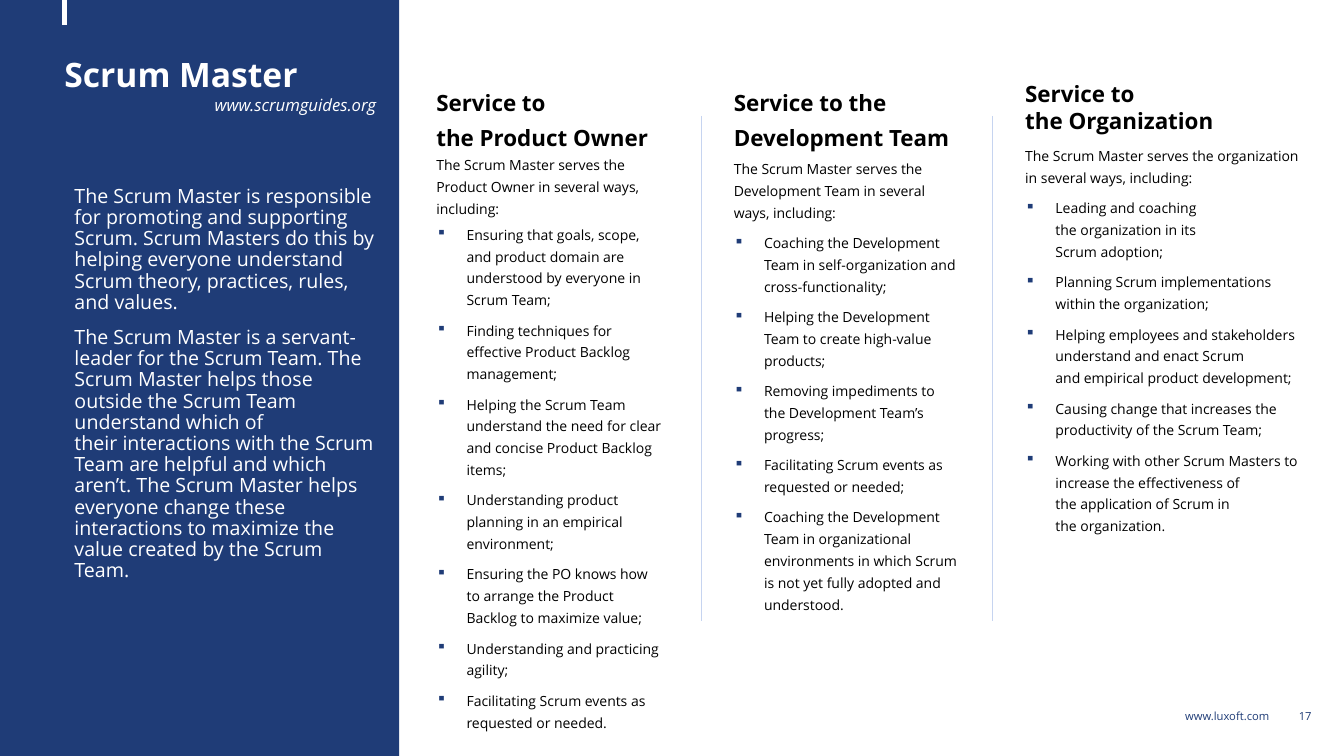
import pptx
import pptx.dml.color
import pptx.enum.shapes
import pptx.enum.text
import pptx.oxml
import pptx.oxml.ns
import pptx.util
from lxml import etree

SLIDE_W, SLIDE_H = 13.33, 7.5
FONT = "Open Sans"
NAVY, WHITE, BLACK, RULE = "1F3C77", "FFFFFF", "000000", "C6D4F0"
ALIGN = pptx.enum.text.PP_ALIGN
Inches, Pt = pptx.util.Inches, pptx.util.Pt

# "~" stands for a space at which a line may not break.
RESPONSIBILITIES = [
    "The Scrum Master is responsible for promoting and supporting Scrum.~Scrum Masters do this by "
    "helping everyone understand Scrum theory,~practices, rules, and values.",
    "The Scrum Master is a servant-leader for the Scrum Team. The Scrum~Master helps those outside "
    "the Scrum Team understand which of their~interactions with the Scrum Team are helpful and "
    "which aren’t. The Scrum~Master helps everyone change these interactions to maximize the "
    "value~created by the Scrum Team.",
]

SERVICES = [
    {
        "box": (4.23, 0.76, 2.43, 6.74),
        "heading": ["Service~to the~Product Owner"],
        "heading_spacing": 1.3, "heading_after": 0, "intro_space": 0,
        "intro": "The Scrum Master serves the Product Owner in several ways, including:",
        "duties": [
            "Ensuring that goals, scope, and product domain are understood by everyone in Scrum Team;",
            "Finding techniques for effective Product Backlog management;",
            "Helping the Scrum Team understand the need for clear and concise Product Backlog items;",
            "Understanding product planning in an empirical environment;",
            "Ensuring the PO knows how to arrange the Product Backlog to maximize value;",
            "Understanding and practicing agility;",
            "Facilitating Scrum events as requested or needed.",
        ],
    },
    {
        "box": (7.18, 0.76, 2.43, 5.82),
        "heading": ["Service~to~the", "Development Team"],
        "heading_spacing": 1.3, "heading_after": 0, "intro_space": 3,
        "intro": "The Scrum Master serves the Development Team in several ways, including:",
        "duties": [
            "Coaching the Development Team in self-organization and cross-functionality;",
            "Helping the Development Team to create high-value products;",
            "Removing impediments to the Development Team’s progress;",
            "Facilitating Scrum events as requested or needed;",
            "Coaching the Development Team in organizational environments in which Scrum is not "
            "yet fully adopted and understood.",
        ],
    },
    {
        "box": (10.07, 0.75, 2.93, 5.65),
        "heading": ["Service to the~Organization"],
        "heading_spacing": 1.0, "heading_after": 3, "intro_space": 3,
        "intro": "The Scrum Master serves the~organization in several ways,~including:",
        "duties": [
            "Leading and coaching the~organization in its Scrum~adoption;",
            "Planning Scrum~implementations within the~organization;",
            "Helping employees and~stakeholders understand~and enact Scrum and~empirical "
            "product~development;",
            "Causing change that~increases the productivity of~the Scrum Team;",
            "Working with other Scrum~Masters to increase the~effectiveness of the~application "
            "of Scrum in the~organization.",
        ],
    },
]


def rgb(hex_color):
    return pptx.dml.color.RGBColor.from_string(hex_color)


def add_text_frame(slide, box, wrap=True):
    frame = slide.shapes.add_textbox(*map(Inches, box)).text_frame
    frame.word_wrap = wrap
    return frame


def add_paragraph(frame, text, size, color, bold=False, italic=False, align=ALIGN.LEFT,
                  spacing=1.0, before=0, after=0, indent=0, bullet=False):
    first = not frame.text
    paragraph = frame.paragraphs[0] if first else frame.add_paragraph()
    paragraph.text = text.replace("~", chr(160))
    paragraph.alignment = align
    paragraph.line_spacing = spacing
    paragraph.space_before = Pt(0 if first else before)
    paragraph.space_after = Pt(after)
    properties = paragraph._p.get_or_add_pPr()
    if indent:
        properties.set("marL", str(Inches(indent)))
    if bullet:
        properties.set("indent", str(-Inches(indent)))
        bullet_color = etree.SubElement(properties, pptx.oxml.ns.qn("a:buClr"))
        etree.SubElement(bullet_color, pptx.oxml.ns.qn("a:srgbClr")).set("val", NAVY)
        etree.SubElement(properties, pptx.oxml.ns.qn("a:buChar")).set("char", "▪")
    for run in paragraph.runs:
        run.font.name, run.font.size = FONT, Pt(size)
        run.font.bold, run.font.italic = bold, italic
        run.font.color.rgb = rgb(color)


def add_rule(slide, x, top, bottom, color, width):
    rule = slide.shapes.add_connector(pptx.enum.shapes.MSO_CONNECTOR.STRAIGHT,
                                      Inches(x), Inches(top), Inches(x), Inches(bottom))
    rule.line.color.rgb = rgb(color)
    rule.line.width = Pt(width)
    etree.SubElement(rule._element.spPr, pptx.oxml.ns.qn("a:effectLst"))


def add_role_panel(slide, left, top, width, height):
    panel = slide.shapes.add_shape(pptx.enum.shapes.MSO_SHAPE.RECTANGLE,
                                   *map(Inches, (left, top, width, height)))
    panel.shadow.inherit = False
    panel.fill.solid()
    panel.fill.fore_color.rgb = rgb(NAVY)
    panel.line.fill.background()
    add_rule(slide, left + 0.64, top, top + 0.25, WHITE, 3)

    # Role name and its reference
    text_left, text_width = left + 0.54, width - 0.67
    role = add_text_frame(slide, (text_left, top + 0.53, text_width, 1.17))
    add_paragraph(role, "Scrum~Master", 24, WHITE, bold=True, spacing=0.9)
    add_paragraph(role, "www.scrumguides.org", 12, WHITE, italic=True, align=ALIGN.RIGHT)

    # Responsibilities
    summary = add_text_frame(slide, (text_left, top + 1.8, text_width, 5.18))
    for responsibility in RESPONSIBILITIES:
        add_paragraph(summary, responsibility, 14, WHITE, spacing=0.9, before=10, indent=0.1)


def add_service_column(slide, service):
    column = add_text_frame(slide, service["box"])
    for line in service["heading"]:
        add_paragraph(column, line, 16, BLACK, bold=True,
                      spacing=service["heading_spacing"], after=service["heading_after"])
    add_paragraph(column, service["intro"], 10, BLACK, spacing=1.3,
                  before=service["intro_space"], after=service["intro_space"])
    for duty in service["duties"]:
        add_paragraph(column, duty, 10, BLACK, spacing=1.3, before=3, after=3,
                      indent=0.3, bullet=True)


def add_footer(slide, left, top):
    # The address needs nearly the full box, so it has no left margin
    website = add_text_frame(slide, (left, top, 0.97, 0.24), wrap=False)
    website.margin_left = 0
    add_paragraph(website, "www.luxoft.com", 8, NAVY, align=ALIGN.RIGHT)
    page = add_text_frame(slide, (left + 1.08, top + 0.01, 0.29, 0.21), wrap=False)
    page.margin_left = page.margin_right = Inches(0.08)
    page.margin_top = page.margin_bottom = Inches(0.04)
    add_paragraph(page, "17", 8, NAVY, align=ALIGN.CENTER)


def main():
    deck = pptx.Presentation()
    deck.slide_width, deck.slide_height = Inches(SLIDE_W), Inches(SLIDE_H)
    slide = deck.slides.add_slide(deck.slide_layouts[6])
    add_role_panel(slide, 0, 0, 3.96, SLIDE_H)
    for service in SERVICES:
        add_service_column(slide, service)
    for divider_x in (6.96, 9.84):
        add_rule(slide, divider_x, 1.15, 6.16, RULE, 0.5)
    add_footer(slide, 11.72, 6.99)
    deck.save("out.pptx")


if __name__ == "__main__":
    main()
